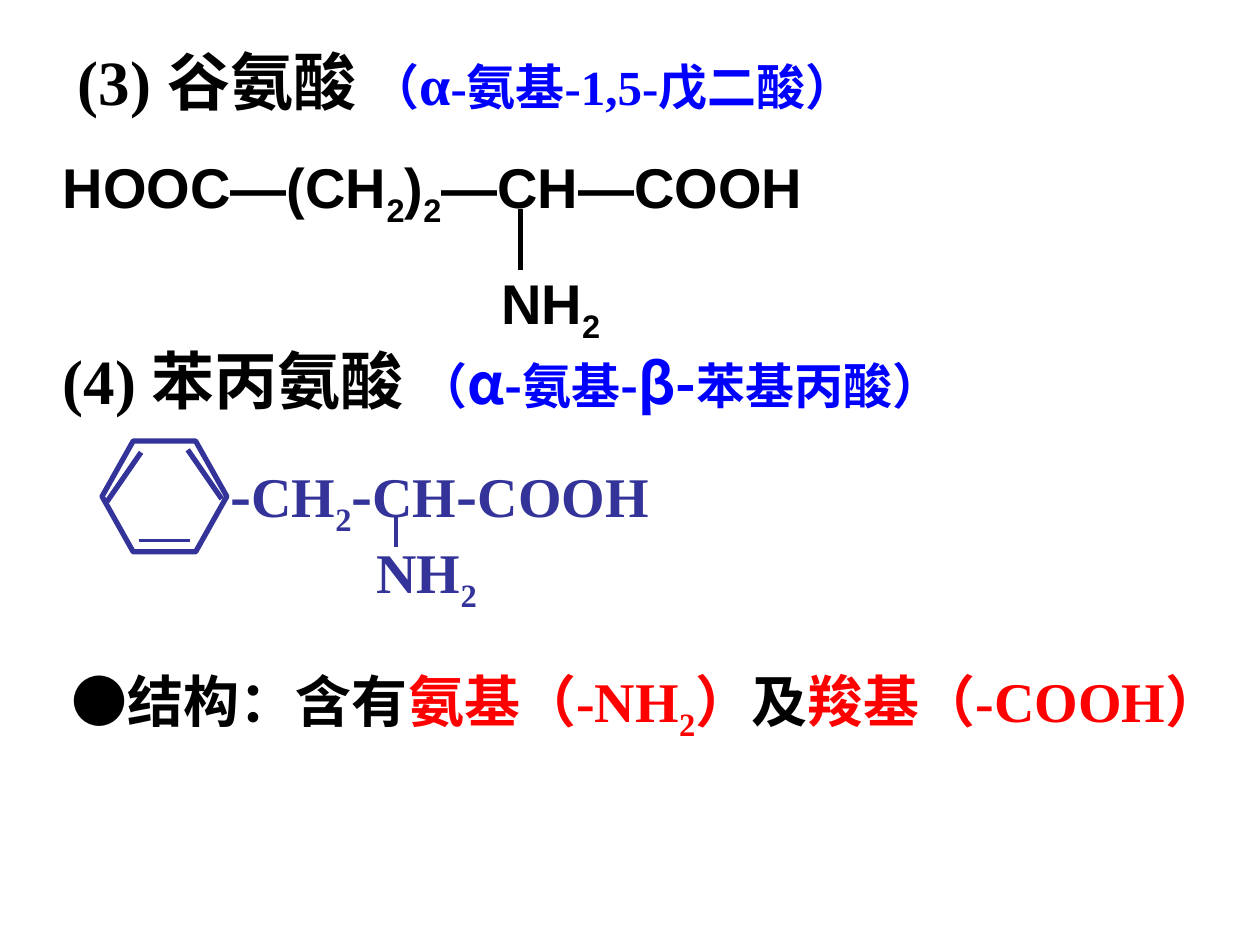
"""Build a slide on the structures of glutamic acid and phenylalanine."""
from lxml.etree import SubElement
from pptx import Presentation
from pptx.dml.color import RGBColor
from pptx.enum.shapes import MSO_CONNECTOR, MSO_SHAPE
from pptx.oxml.ns import qn
from pptx.util import Inches, Pt

COLOURS = {"black": "000000", "blue": "0000FF", "indigo": "333399", "red": "FF0000"}
SERIF, SANS = "Times New Roman", "Arial"
CHINESE, GREEK = "Noto Sans CJK SC", "Noto Sans CJK JP"
COLUMNS, ROWS = 100, 75


class SlideBuilder:
    def __init__(self, presentation):
        self.column = presentation.slide_width / COLUMNS
        self.row = presentation.slide_height / ROWS
        self.slide = presentation.slides.add_slide(presentation.slide_layouts[6])
        self.shapes = self.slide.shapes

    def start_group(self):
        self.shapes = self.slide.shapes.add_group_shape().shapes

    def end_group(self):
        self.shapes = self.slide.shapes

    def place(self, *lengths):
        units = (self.column, self.row) * 2
        return [round(length * unit) for length, unit in zip(lengths, units)]

    def text(self, box, *pieces):
        frame = self.shapes.add_textbox(*self.place(*box)).text_frame
        frame.word_wrap = True
        paragraph = frame.paragraphs[0]
        for words, size, font, colour in pieces:
            for index, part in enumerate(words.split("_")):
                if part:
                    self.run(paragraph, part, size, font, colour, index % 2 == 1)

    def run(self, paragraph, words, size, font, colour, subscript):
        run = paragraph.add_run()
        run.text = words
        run.font.size = Pt(size)
        run.font.bold = True
        run.font.color.rgb = RGBColor.from_string(COLOURS[colour])
        run.font.name = font
        properties = run._r.get_or_add_rPr()
        east_asian = GREEK if font == GREEK else CHINESE
        SubElement(properties, qn("a:ea")).set("typeface", east_asian)
        if subscript:
            properties.set("baseline", "-25000")

    def outline(self, shape, colour, weight):
        shape.line.color.rgb = RGBColor.from_string(COLOURS[colour])
        shape.line.width = Pt(weight)

    def bond(self, ends, colour, weight):
        connector = self.shapes.add_connector(MSO_CONNECTOR.STRAIGHT, *self.place(*ends))
        self.outline(connector, colour, weight)
        SubElement(connector._element.spPr, qn("a:effectLst"))

    def ring(self, box, colour, weight):
        hexagon = self.shapes.add_shape(MSO_SHAPE.HEXAGON, *self.place(*box))
        hexagon.adjustments[0] = 0.281
        hexagon.adjustments[1] = 1.155
        hexagon.shadow.inherit = False
        hexagon.fill.background()
        self.outline(hexagon, colour, weight)


def main():
    presentation = Presentation()
    presentation.slide_width, presentation.slide_height = Inches(10), Inches(7.5)
    builder = SlideBuilder(presentation)

    builder.text(
        (5.2, 2.9, 85, 7),
        ("(3) 谷氨酸 ", 36, SERIF, "black"),
        ("（", 28, SERIF, "blue"),
        ("α", 32, SERIF, "blue"),
        ("-氨基-1,5-戊二酸）", 28, SERIF, "blue"),
    )

    builder.start_group()
    builder.text((4, 11.6, 65.4, 7.1), ("HOOC—(CH_2_)_2_—CH—COOH", 32, SANS, "black"))
    builder.text((38.8, 20.8, 12.6, 7.1), ("NH_2", 32, SANS, "black"))
    builder.bond((41.3, 16.6, 41.3, 21.4), "black", 3)
    builder.end_group()

    builder.text(
        (4, 26.6, 78.3, 13),
        ("(4) ", 36, SERIF, "black"),
        ("苯丙氨酸 ", 36, SANS, "black"),
        ("（", 28, SANS, "blue"),
        ("α", 32, GREEK, "blue"),
        ("-氨基-", 28, CHINESE, "blue"),
        ("β-", 32, GREEK, "blue"),
        ("苯基丙酸）", 28, CHINESE, "blue"),
    )

    builder.start_group()
    builder.text(
        (17.3, 35.6, 35.6, 7.7),
        ("-", 36, SERIF, "indigo"),
        ("CH_2", 32, SERIF, "indigo"),
        ("-", 36, SERIF, "indigo"),
        ("CH", 32, SERIF, "indigo"),
        ("-", 36, SERIF, "indigo"),
        ("COOH", 32, SERIF, "indigo"),
    )
    builder.bond((31.4, 41, 31.4, 43.4), "indigo", 2.25)
    builder.text((28.9, 42.2, 16.5, 7.1), ("NH_2", 32, SERIF, "indigo"))
    builder.ring((8.1, 35, 9.9, 8.8), "indigo", 3)
    builder.bond((14.9, 35.7, 17.6, 39.6), "indigo", 3)
    builder.bond((11.2, 35.9, 8.5, 39.8), "indigo", 3)
    builder.bond((11, 42.9, 15.1, 42.9), "indigo", 2.25)
    builder.end_group()

    builder.text(
        (4.7, 52.4, 93.3, 12.4),
        ("●结构：含有", 32, CHINESE, "black"),
        ("氨基（-NH_2_）", 32, SERIF, "red"),
        ("及", 32, SERIF, "black"),
        ("羧基（-COOH）", 32, SERIF, "red"),
    )
    presentation.save("out.pptx")


if __name__ == "__main__":
    main()
